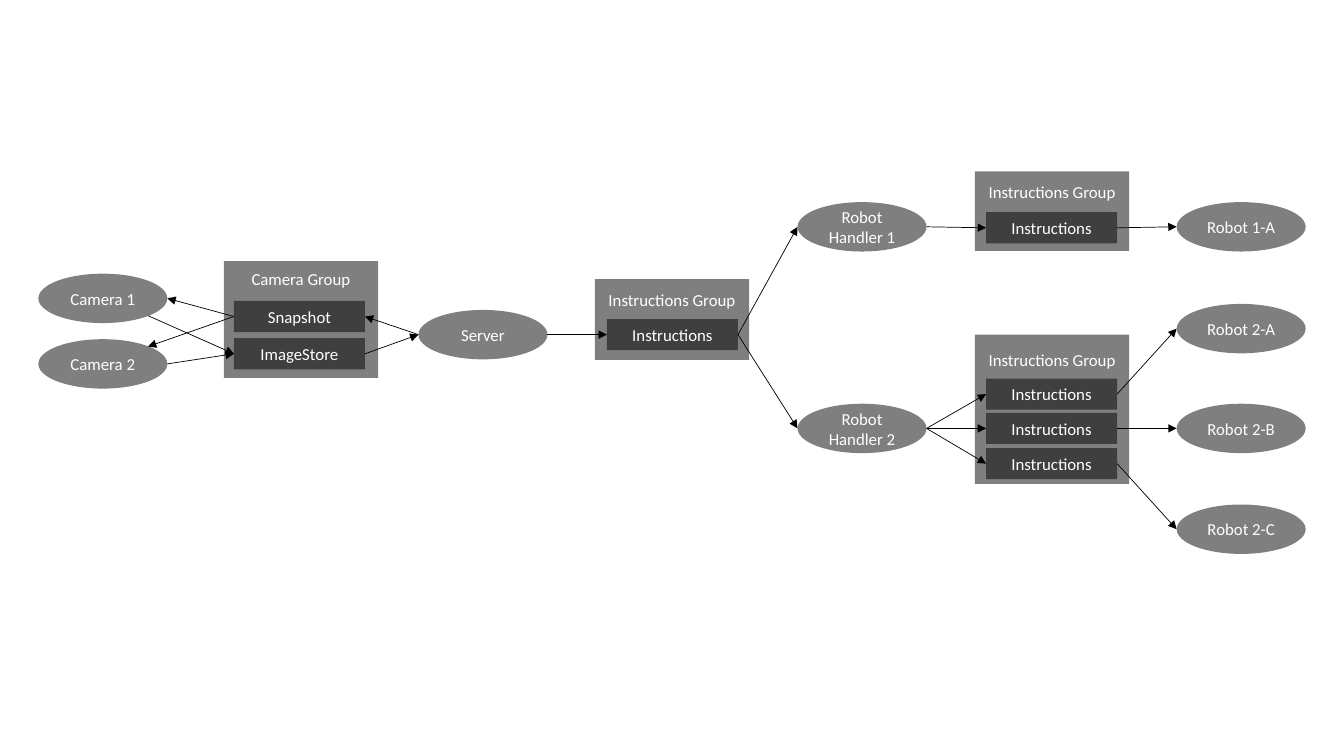
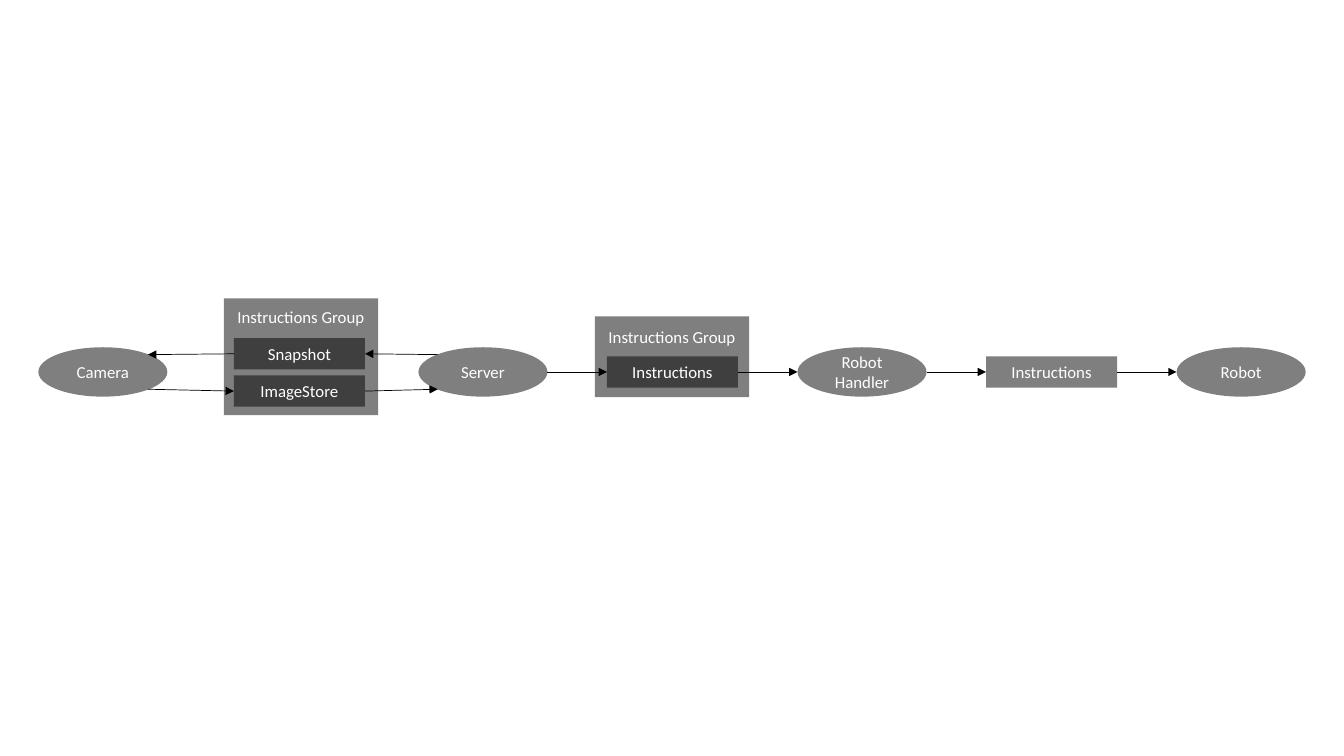
from dataclasses import dataclass

from lxml.etree import SubElement
from pptx import Presentation
from pptx.dml.color import RGBColor
from pptx.enum.shapes import MSO_CONNECTOR, MSO_SHAPE
from pptx.enum.text import MSO_ANCHOR, PP_ALIGN
from pptx.oxml.ns import qn
from pptx.util import Inches, Pt

# Shared look
FONT, BLACK, WHITE = "Calibri", "000000", "FFFFFF"
OVAL_W, OVAL_H = 1.28, 0.49
BOX_W, BOX_H = 1.3, 0.31
GROUP_W = 1.53

# Left edges of the columns, from the cameras to the robots
OVAL_X = (0.38, 4.15, 7.91, 11.67)
BOX_X = (2.32, 6.02, 9.78)
GROUP_X = (2.22, 5.9, 9.67)

# Joints: share of width and height, and site number on each outline
DIAG = 0.35
SPOTS = {
    "l": (0, 0.5), "r": (1, 0.5),
    "tl": (0.5 - DIAG, 0.5 - DIAG), "tr": (0.5 + DIAG, 0.5 - DIAG),
    "bl": (0.5 - DIAG, 0.5 + DIAG), "br": (0.5 + DIAG, 0.5 + DIAG),
}
OVAL_SITES = {"tl": 1, "l": 2, "bl": 3, "br": 5, "r": 6, "tr": 7}
BOX_SITES = {"l": 1, "r": 3}


@dataclass
class Group:
    col: int
    top: float
    high: float
    text: str
    inset: float = 0.1


@dataclass
class Node:
    key: str
    col: int
    mid: float
    text: str
    oval: bool = True


@dataclass
class Link:
    start: str
    end: str
    out: str = "r"
    into: str = "l"


@dataclass
class Chart:
    groups: list[Group]
    nodes: list[Node]
    links: list[Link]


def paint(fill, color: str, alpha: int = 100) -> None:
    fill.solid()
    fill.fore_color.rgb = RGBColor.from_string(color)
    if alpha < 100:
        tint = fill._xPr.find(".//" + qn("a:srgbClr"))
        SubElement(tint, qn("a:alpha"), val=str(alpha * 1000))


def write(shape, text: str, *, size: int = 12, color: str = WHITE,
          anchor=MSO_ANCHOR.MIDDLE, top: float = 0.05) -> None:
    frame = shape.text_frame
    frame.word_wrap = True
    frame.vertical_anchor = anchor
    frame.margin_top = Inches(top)
    para = frame.paragraphs[0]
    para.alignment = PP_ALIGN.CENTER
    run = para.add_run()
    run.text = text
    run.font.name, run.font.size = FONT, Pt(size)
    paint(run.font.fill, color)


def block(slide, kind, x: float, y: float, w: float, h: float):
    shape = slide.shapes.add_shape(kind, Inches(x), Inches(y), Inches(w), Inches(h))
    shape.shadow.inherit = False
    paint(shape.fill, BLACK, alpha=50)
    shape.line.fill.background()
    return shape


def add_group(slide, group: Group) -> None:
    shape = block(slide, MSO_SHAPE.RECTANGLE, GROUP_X[group.col], group.top,
                  GROUP_W, group.high)
    write(shape, group.text, anchor=MSO_ANCHOR.TOP, top=group.inset)


def add_node(slide, node: Node):
    if node.oval:
        kind, x, w, h = MSO_SHAPE.OVAL, OVAL_X[node.col], OVAL_W, OVAL_H
    else:
        kind, x, w, h = MSO_SHAPE.RECTANGLE, BOX_X[node.col], BOX_W, BOX_H
    shape = block(slide, kind, x, node.mid - h / 2, w, h)
    write(shape, node.text)
    return shape


def spot(shape, side: str) -> tuple[int, int]:
    across, down = SPOTS[side]
    return (round(shape.left + across * shape.width),
            round(shape.top + down * shape.height))


def add_link(slide, link: Link, shapes: dict) -> None:
    start, end = shapes[link.start], shapes[link.end]
    line = slide.shapes.add_connector(
        MSO_CONNECTOR.STRAIGHT, *spot(start, link.out), *spot(end, link.into))
    paint(line.line.fill, BLACK)
    line.line.width = Pt(0.5)
    SubElement(line.line._get_or_add_ln(), qn("a:tailEnd"), type="triangle")
    SubElement(line._element.spPr, qn("a:effectLst"))
    # Glue both ends to their shapes
    glue = line._element.nvCxnSpPr.cNvCxnSpPr
    for tag, shape, side in (("a:stCxn", start, link.out), ("a:endCxn", end, link.into)):
        round_one = shape.auto_shape_type == MSO_SHAPE.OVAL
        site = (OVAL_SITES if round_one else BOX_SITES)[side]
        SubElement(glue, qn(tag), id=str(shape.shape_id), idx=str(site))


def draw(deck, chart: Chart) -> None:
    slide = deck.slides.add_slide(deck.slide_layouts[6])
    for group in chart.groups:
        add_group(slide, group)
    shapes = {node.key: add_node(slide, node) for node in chart.nodes}
    for link in chart.links:
        add_link(slide, link, shapes)


# Several cameras and robots
ROBOTS = (("A", 3.26, 3.91), ("B", 4.25, 4.25), ("C", 5.25, 4.6))
MANY = Chart(
    groups=[
        Group(0, 2.59, 1.16, "Camera Group", 0.08),
        Group(1, 2.77, 0.8, "Instructions Group"),
        Group(2, 1.7, 0.79, "Instructions Group"),
        Group(2, 3.32, 1.48, "Instructions Group", 0.15),
    ],
    nodes=[
        Node("cam1", 0, 2.96, "Camera 1"),
        Node("cam2", 0, 3.61, "Camera 2"),
        Node("snap", 0, 3.14, "Snapshot", False),
        Node("store", 0, 3.51, "ImageStore", False),
        Node("server", 1, 3.32, "Server"),
        Node("tasks", 1, 3.32, "Instructions", False),
        Node("hand1", 2, 2.25, "Robot Handler 1"),
        Node("hand2", 2, 4.25, "Robot Handler 2"),
        Node("task1", 2, 2.26, "Instructions", False),
        Node("bot1", 3, 2.25, "Robot 1-A"),
        *(Node("task" + n, 2, mid, "Instructions", False) for n, _, mid in ROBOTS),
        *(Node("bot" + n, 3, mid, "Robot 2-" + n) for n, mid, _ in ROBOTS),
    ],
    links=[
        Link("snap", "cam1", "l", "r"),
        Link("snap", "cam2", "l", "tr"),
        Link("cam1", "store", "br"),
        Link("cam2", "store"),
        Link("store", "server"),
        Link("server", "snap", "l", "r"),
        Link("server", "tasks"),
        Link("tasks", "hand1"),
        Link("tasks", "hand2"),
        Link("hand1", "task1"),
        Link("task1", "bot1"),
        *(Link("hand2", "task" + n) for n, _, _ in ROBOTS),
        *(Link("task" + n, "bot" + n) for n, _, _ in ROBOTS),
    ],
)

# One camera and one robot
ONE = Chart(
    groups=[
        Group(0, 2.96, 1.16, "Instructions Group", 0.08),
        Group(1, 3.14, 0.8, "Instructions Group"),
    ],
    nodes=[
        Node("cam", 0, 3.69, "Camera"),
        Node("snap", 0, 3.51, "Snapshot", False),
        Node("store", 0, 3.88, "ImageStore", False),
        Node("server", 1, 3.69, "Server"),
        Node("tasks", 1, 3.69, "Instructions", False),
        Node("hand", 2, 3.69, "Robot Handler"),
        Node("task", 2, 3.69, "Instructions", False),
        Node("bot", 3, 3.69, "Robot"),
    ],
    links=[
        Link("snap", "cam", "l", "tr"),
        Link("cam", "store", "br"),
        Link("store", "server", "r", "bl"),
        Link("server", "snap", "tl", "r"),
        Link("server", "tasks"),
        Link("tasks", "hand"),
        Link("hand", "task"),
        Link("task", "bot"),
    ],
)


def main() -> None:
    deck = Presentation()
    deck.slide_width, deck.slide_height = Inches(13.33), Inches(7.5)
    for chart in (MANY, ONE):
        draw(deck, chart)
    deck.save("out.pptx")


if __name__ == "__main__":
    main()
